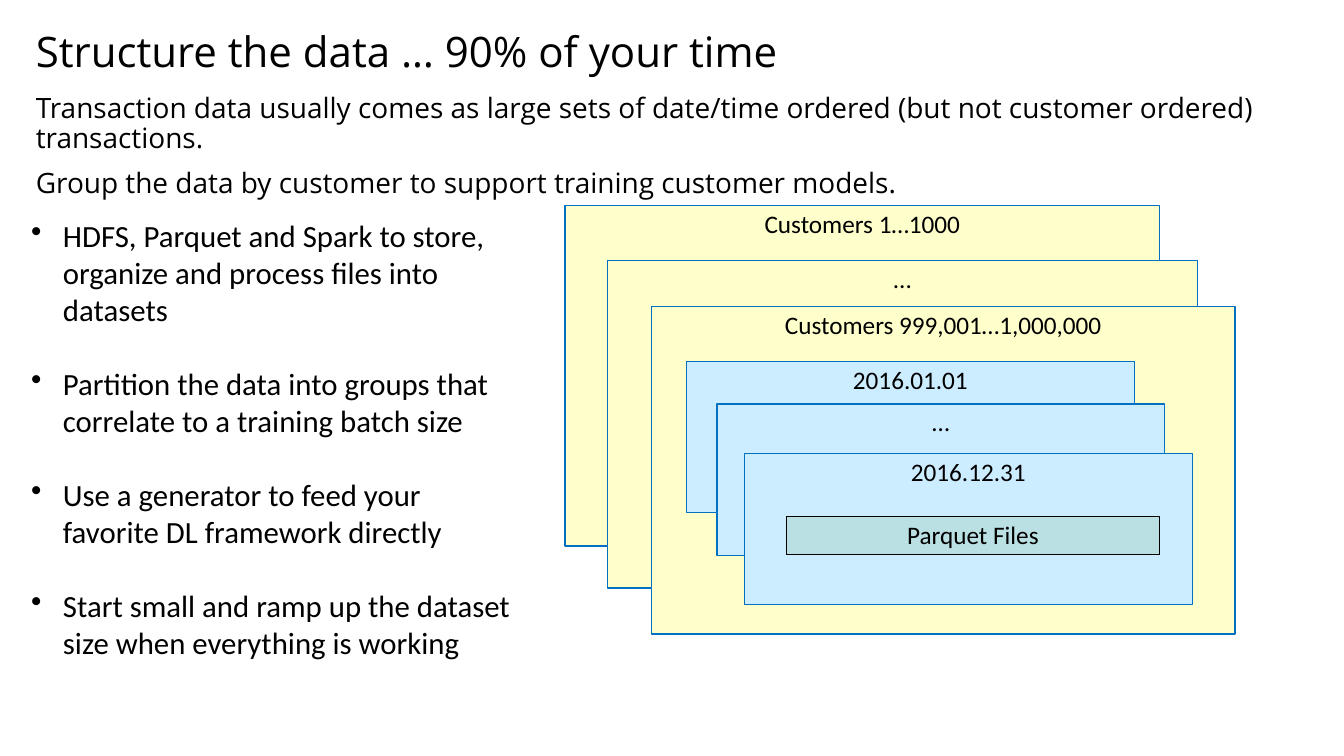
import pptx
import pptx.util
import pptx.dml.color
import pptx.enum.shapes
import pptx.enum.text
import pptx.oxml.ns
import lxml.etree

PX = pptx.util.Inches(1) // 100
COLORS = {"text": "000000", "customer": "FFFFCC", "date": "CCECFF",
          "files": "BBE0E3", "edge": "0070C0", "files_edge": "000000"}
ANCHOR = pptx.enum.text.MSO_ANCHOR
ALIGN = pptx.enum.text.PP_ALIGN


def color(role):
    """Return the colour of a role."""
    return pptx.dml.color.RGBColor.from_string(COLORS[role])


def set_attributes(target, values):
    """Set each attribute of target from a dict."""
    for attribute, value in values.items():
        setattr(target, attribute, value)


def write_text(frame, paragraphs, font, size, inset, anchor=ANCHOR.TOP,
               bullet_indent=0, gap=0, **paragraph_format):
    """Fill a text frame with evenly spaced, optionally bulleted paragraphs."""
    across, down = inset
    set_attributes(frame, {"word_wrap": True, "vertical_anchor": anchor,
                           "margin_left": across * PX, "margin_right": across * PX,
                           "margin_top": down * PX, "margin_bottom": down * PX})
    for index, words in enumerate(paragraphs):
        paragraph = frame.add_paragraph() if index else frame.paragraphs[0]
        paragraph.text = words
        set_attributes(paragraph, paragraph_format)
        if index:
            paragraph.space_before = pptx.util.Pt(gap)
        if bullet_indent:
            properties = paragraph._p.get_or_add_pPr()
            properties.set("marL", str(bullet_indent * PX))
            properties.set("indent", str(-bullet_indent * PX))
            bullet = lxml.etree.SubElement(properties, pptx.oxml.ns.qn("a:buChar"))
            bullet.set("char", "•")
        set_attributes(paragraph.font, {"name": font, "size": pptx.util.Pt(size)})
        paragraph.font.color.rgb = color("text")


def add_text(slide, box, paragraphs, **text_format):
    """Place a text box in the given box."""
    frame = slide.shapes.add_textbox(*(length * PX for length in box)).text_frame
    write_text(frame, paragraphs, **text_format)


def add_card(slide, box, label, fill, edge="edge"):
    """Place a filled rectangle with its label at the top."""
    card = slide.shapes.add_shape(pptx.enum.shapes.MSO_SHAPE.RECTANGLE,
                                  *(length * PX for length in box))
    card.shadow.inherit = False
    card.fill.solid()
    card.fill.fore_color.rgb = color(fill)
    card.line.color.rgb = color(edge)
    card.line.width = pptx.util.Pt(2)
    write_text(card.text_frame, [label], font="Calibri", size=36, inset=(10, 5),
               alignment=ALIGN.CENTER)


def add_heading(slide, box):
    """Place the title and the introduction below it."""
    left, top, width, height = box
    title_height, intro_top = 149, 157
    add_text(slide, (left, top, width, title_height),
             ["Structure the data … 90% of your time"],
             font="Open Sans", size=60, inset=(4, 4), anchor=ANCHOR.MIDDLE)
    add_text(slide, (left, top + intro_top, width, height - intro_top),
             ["Transaction data usually comes as large sets of date/time ordered "
              "(but not customer ordered) transactions.",
              "Group the data by customer to support training customer models."],
             font="Open Sans", size=40, inset=(4, 4), gap=21, line_spacing=0.9)


def add_advice(slide, box):
    """Place the bulleted advice, one blank line apart."""
    add_text(slide, box,
             ["HDFS, Parquet and Spark to store, organize and process files into datasets",
              "Partition the data into groups that correlate to a training batch size",
              "Use a generator to feed your favorite DL framework directly",
              "Start small and ramp up the dataset size when everything is working"],
             font="Calibri", size=44, inset=(10, 5), bullet_indent=63, gap=53)


def add_partitions(slide, box):
    """Place the customer cards, the date cards and the files they hold."""
    left, top, width, height = box
    customers = [(0, 0, 1179, 675, "Customers 1…1000"),
                 (84, 109, 1170, 650, "..."),
                 (171, 200, 1158, 650, "Customers 999,001…1,000,000")]
    for x, y, card_width, card_height, label in customers:
        add_card(slide, (left + x, top + y, card_width, card_height), label, "customer")
    dates = [(241, 309, "2016.01.01"), (301, 394, "…"), (356, 492, "2016.12.31")]
    for x, y, label in dates:
        add_card(slide, (left + x, top + y, 888, 300), label, "date")
    add_card(slide, (left + 439, top + 617, 740, 75), "Parquet Files", "files", "files_edge")


def main():
    """Build the slide and save it."""
    deck = pptx.Presentation()
    set_attributes(deck, {"slide_width": 2666 * PX, "slide_height": 1500 * PX})
    slide = deck.slides.add_slide(deck.slide_layouts[6])
    add_heading(slide, (67, 26, 2530, 390))
    add_advice(slide, (52, 425, 982, 910))
    add_partitions(slide, (1121, 408, 1329, 850))
    deck.save("out.pptx")


if __name__ == "__main__":
    main()
